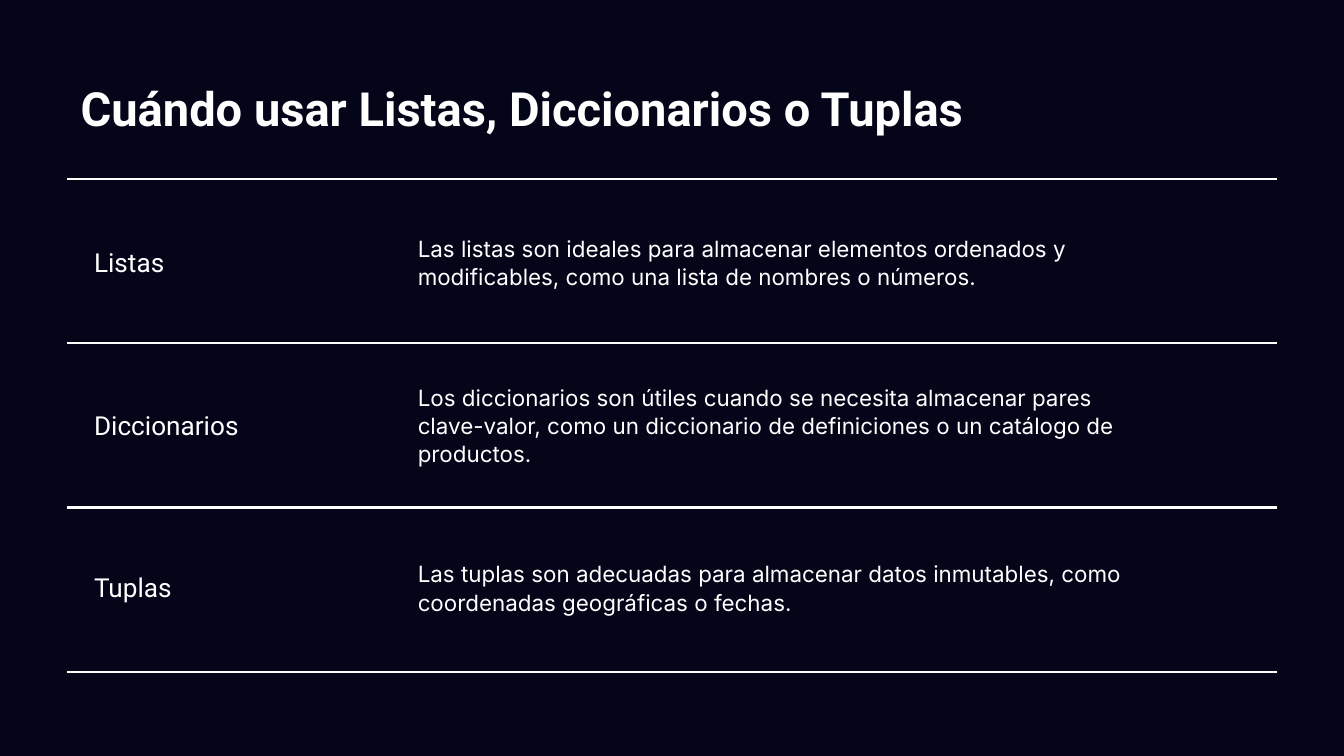
from lxml import etree
from pptx import Presentation
from pptx.dml.color import RGBColor
from pptx.enum.text import MSO_ANCHOR, MSO_AUTO_SIZE, PP_ALIGN
from pptx.oxml.ns import qn
from pptx.util import Inches, Pt

MIDDLE = MSO_ANCHOR.MIDDLE
LEFT = PP_ALIGN.LEFT
NO_AUTOFIT = MSO_AUTO_SIZE.NONE

COLORS = {"background": "05051A", "light": "FFFFFF"}
HEADING_FONT, BODY_FONT = "Roboto", "Inter"
WIDTH = 10
HEIGHT = WIDTH * 9 / 16
MARGIN = 0.05 * WIDTH
CONTENT_WIDTH = WIDTH - 2 * MARGIN
COLUMNS = (2.27, 6.73)
TABLE_TOP, TABLE_HEIGHT = 1.33, 3.67
TEXT_TOP, TEXT_HEIGHT, TEXT_PITCH = 1.41, 1.08, 1.21
LABEL_WIDTH = 0.2 * WIDTH
DETAIL_LEFT, DETAIL_WIDTH = 3.01, 5.49

TITLE = "Cuándo usar Listas, Diccionarios o Tuplas"
USES = (
    ("Listas", "Las listas son ideales para almacenar elementos ordenados y "
     "modificables, como una lista de nombres o números."),
    ("Diccionarios", "Los diccionarios son útiles cuando se necesita almacenar pares "
     "clave-valor, como un diccionario de definiciones o un catálogo de productos."),
    ("Tuplas", "Las tuplas son adecuadas para almacenar datos inmutables, como "
     "coordenadas geográficas o fechas."),
)


def rgb(name):
    """Return the named colour."""
    return RGBColor.from_string(COLORS[name])


def write(box, text, font, size, bold=False, inset=0.1):
    """Fill a box with one left-aligned, vertically centred paragraph."""
    frame = box.text_frame
    frame.text = text
    frame.word_wrap = True
    frame.auto_size = NO_AUTOFIT
    frame.vertical_anchor = MIDDLE
    frame.margin_left = Inches(inset)
    frame.margin_right = frame.margin_top = frame.margin_bottom = Inches(0.1)
    para = frame.paragraphs[0]
    para.alignment = LEFT
    span = para.runs[0].font
    span.name, span.size, span.bold = font, Pt(size), bold
    span.color.rgb = rgb("light")
    return para


def add_title(page):
    """Place the slide title in its placeholder."""
    box = page.shapes.title
    box.left, box.top = Inches(MARGIN), Inches(0.49)
    box.width, box.height = Inches(CONTENT_WIDTH), Inches(0.63)
    write(box, TITLE, HEADING_FONT, 25.2, bold=True)


def rule_cell(cell):
    """Clear a cell's fill and draw only its top and bottom borders."""
    cell.fill.background()
    properties = cell._tc.get_or_add_tcPr()
    for index, side in enumerate(("lnL", "lnR", "lnT", "lnB")):
        line = etree.Element(qn(f"a:{side}"), w=str(Pt(1.5)))
        if side in ("lnT", "lnB"):
            fill = etree.SubElement(line, qn("a:solidFill"))
            etree.SubElement(fill, qn("a:srgbClr"), val=COLORS["light"])
        else:
            etree.SubElement(line, qn("a:noFill"))
        properties.insert(index, line)


def add_ruled_table(page):
    """Add the empty table whose borders separate the rows."""
    table = page.shapes.add_table(
        len(USES), len(COLUMNS), Inches(MARGIN), Inches(TABLE_TOP),
        Inches(CONTENT_WIDTH), Inches(TABLE_HEIGHT)).table
    table.first_row = table.horz_banding = False
    for column, width in zip(table.columns, COLUMNS):
        column.width = Inches(width)
    for cell in table.iter_cells():
        rule_cell(cell)


def add_text(page, left, row, width, text, font, size, inset=0.1):
    """Add a text box on the given row of the grid."""
    box = page.shapes.add_textbox(
        Inches(left), Inches(TEXT_TOP + row * TEXT_PITCH),
        Inches(width), Inches(TEXT_HEIGHT))
    para = write(box, text, font, size, inset=inset)
    para.space_after = Pt(10)
    return para


def main():
    """Build and save the slide."""
    deck = Presentation()
    deck.slide_width, deck.slide_height = Inches(WIDTH), Inches(HEIGHT)
    page = deck.slides.add_slide(deck.slide_layouts.get_by_name("Title Only"))
    page.background.fill.solid()
    page.background.fill.fore_color.rgb = rgb("background")
    add_ruled_table(page)
    add_title(page)
    for row, (label, detail) in enumerate(USES):
        add_text(page, MARGIN, row, LABEL_WIDTH, label, HEADING_FONT, 14, inset=0.2)
        para = add_text(page, DETAIL_LEFT, row, DETAIL_WIDTH, detail, BODY_FONT, 12)
        para.line_spacing = 1.05
    deck.save("out.pptx")


if __name__ == "__main__":
    main()
